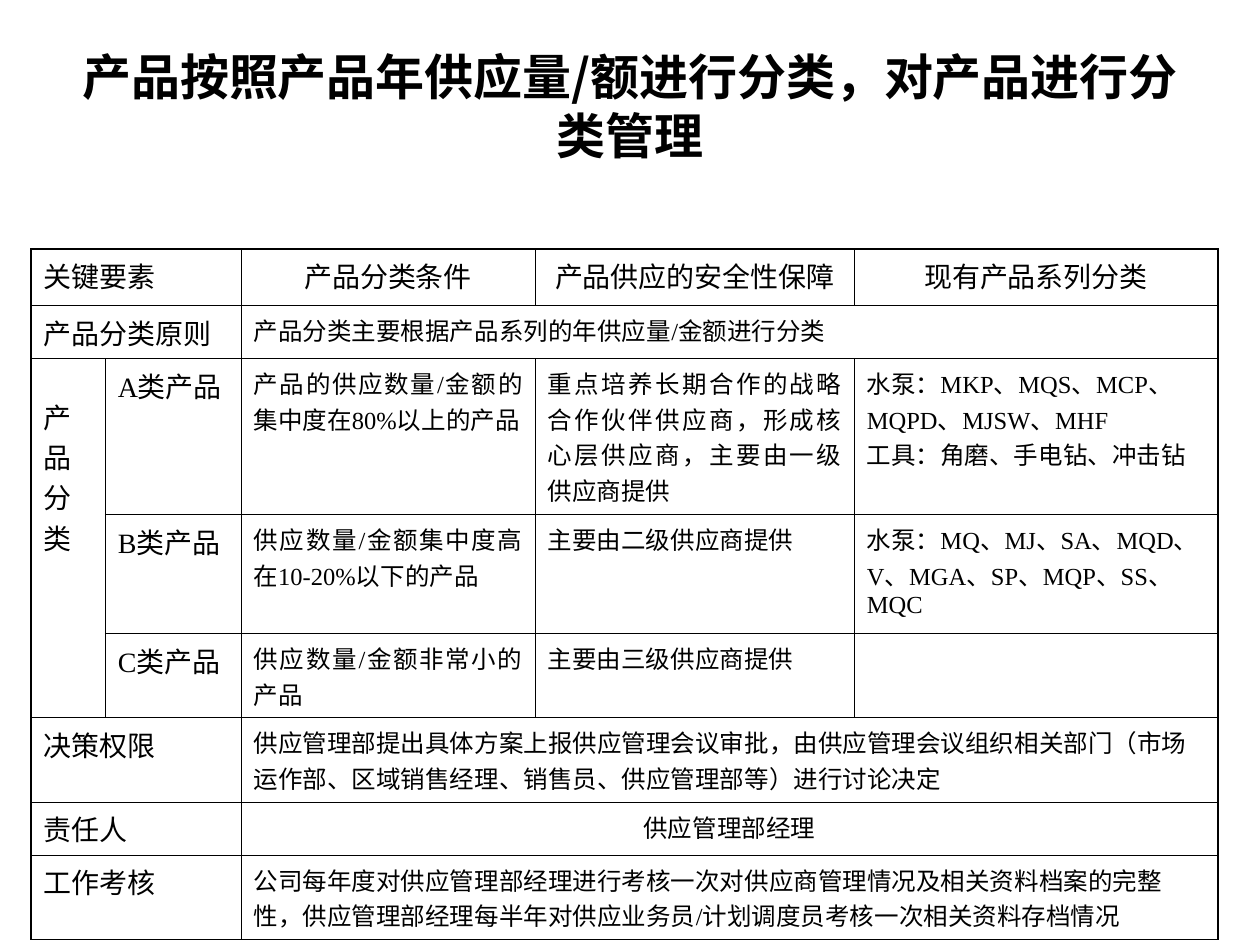
from dataclasses import dataclass

import pptx
import pptx.dml.color
import pptx.enum.text
import pptx.oxml
import pptx.oxml.ns
import pptx.util

Cm = pptx.util.Cm
Pt = pptx.util.Pt
Align = pptx.enum.text.PP_ALIGN
qn = pptx.oxml.ns.qn


@dataclass(frozen=True)
class Theme:
    ink: str = "000000"
    chinese_font: str = "Noto Sans CJK SC"
    latin_font: str = "Times New Roman"
    title_size: int = 28
    label_size: int = 16
    body_size: int = 14
    outer_line: float = 1.08
    inner_line: float = 0.45


THEME = Theme()
TITLE = "产品按照产品年供应量/额进行分类，对产品进行分类管理"
COLUMN_WIDTHS = [1.49, 2.74, 5.93, 6.43, 7.33]
ROW_HEIGHTS = [1.14, 1.07, 3.14, 2.4, 1.7, 1.7, 1.07, 1.7]
HEADERS = ["产品分类条件", "产品供应的安全性保障", "现有产品系列分类"]
WIDE_ROWS = {
    1: ("产品分类原则", "产品分类主要根据产品系列的年供应量/金额进行分类", Align.LEFT),
    5: (
        "决策权限",
        "供应管理部提出具体方案上报供应管理会议审批，由供应管理会议组织相关部门"
        "（市场运作部、区域销售经理、销售员、供应管理部等）进行讨论决定",
        Align.LEFT,
    ),
    6: ("责任人", "供应管理部经理", Align.CENTER),
    7: (
        "工作考核",
        "公司每年度对供应管理部经理进行考核一次对供应商管理情况及相关资料档案的完整性，"
        "供应管理部经理每半年对供应业务员/计划调度员考核一次相关资料存档情况",
        Align.LEFT,
    ),
}
CLASS_ROWS = [
    (
        "A类产品",
        "产品的供应数量/金额的集中度在80%以上的产品",
        "重点培养长期合作的战略合作伙伴供应商，形成核心层供应商，主要由一级供应商提供",
        "水泵：MKP、MQS、MCP、MQPD、MJSW、MHF\n工具：角磨、手电钻、冲击钻",
    ),
    (
        "B类产品",
        "供应数量/金额集中度高在10-20%以下的产品",
        "主要由二级供应商提供",
        "水泵：MQ、MJ、SA、MQD、V、MGA、SP、MQP、SS、MQC",
    ),
    ("C类产品", "供应数量/金额非常小的产品", "主要由三级供应商提供", ""),
]


def write_text(text_frame, text, size, alignment, latin_font=THEME.latin_font, bold=False):
    text_frame.text = text
    for paragraph in text_frame.paragraphs:
        paragraph.alignment = alignment
        paragraph._p.get_or_add_pPr().set("hangingPunct", "0")
        font = paragraph.font
        font.size = Pt(size)
        font.bold = bold
        font.color.rgb = pptx.dml.color.RGBColor.from_string(THEME.ink)
        font.name = latin_font
        east_asian = pptx.oxml.parse_xml(
            f'<a:ea {pptx.oxml.ns.nsdecls("a")} typeface="{THEME.chinese_font}"/>'
        )
        font._element.find(qn("a:latin")).addnext(east_asian)


def draw_borders(table):
    last_row, last_column = len(table.rows) - 1, len(table.columns) - 1
    for row in range(last_row + 1):
        for column in range(last_column + 1):
            cell = table.cell(row, column)
            right = column + (cell.span_width if cell.is_merge_origin else 1) - 1
            edges = {
                "lnL": column == 0,
                "lnR": right == last_column,
                "lnT": row == 0,
                "lnB": row == last_row,
            }
            properties = cell._tc.get_or_add_tcPr()
            for tag, is_outer in edges.items():
                width = Pt(THEME.outer_line if is_outer else THEME.inner_line)
                properties.append(pptx.oxml.parse_xml(
                    f'<a:{tag} {pptx.oxml.ns.nsdecls("a")} w="{width}"><a:solidFill>'
                    f'<a:srgbClr val="{THEME.ink}"/></a:solidFill></a:{tag}>'
                ))
            cell.fill.background()


def add_title(slide, left, top, width, height):
    text_frame = slide.shapes.add_textbox(left, top, width, height).text_frame
    text_frame.word_wrap = True
    text_frame.vertical_anchor = pptx.enum.text.MSO_ANCHOR.MIDDLE
    write_text(text_frame, TITLE, THEME.title_size, Align.CENTER, THEME.chinese_font, True)


def add_classification_table(slide, left, top, width, height):
    table = slide.shapes.add_table(
        len(ROW_HEIGHTS), len(COLUMN_WIDTHS), left, top, width, height
    ).table
    table.first_row = table.horz_banding = False
    for column, share in zip(table.columns, COLUMN_WIDTHS):
        column.width = int(width * share / sum(COLUMN_WIDTHS))
    for row, share in zip(table.rows, ROW_HEIGHTS):
        row.height = int(height * share / sum(ROW_HEIGHTS))

    def fill_cell(row, column, text, size, alignment=Align.LEFT):
        write_text(table.cell(row, column).text_frame, text, size, alignment)

    table.cell(0, 0).merge(table.cell(0, 1))
    fill_cell(0, 0, "关键要素", THEME.label_size)
    for column, header in enumerate(HEADERS, start=2):
        fill_cell(0, column, header, THEME.label_size, Align.CENTER)

    for row, (label, body, alignment) in WIDE_ROWS.items():
        table.cell(row, 0).merge(table.cell(row, 1))
        table.cell(row, 2).merge(table.cell(row, 4))
        fill_cell(row, 0, label, THEME.label_size)
        fill_cell(row, 2, body, THEME.body_size, alignment)

    table.cell(2, 0).merge(table.cell(4, 0))
    fill_cell(2, 0, "产品分类", THEME.label_size, Align.JUSTIFY)
    table.cell(2, 0).margin_top = Cm(0.75)
    for row, (label, condition, security, series) in enumerate(CLASS_ROWS, start=2):
        fill_cell(row, 1, label, THEME.label_size, Align.JUSTIFY)
        fill_cell(row, 2, condition, THEME.body_size, Align.JUSTIFY)
        fill_cell(row, 3, security, THEME.body_size, Align.JUSTIFY)
        fill_cell(row, 4, series, THEME.body_size)

    draw_borders(table)


def main():
    presentation = pptx.Presentation()
    presentation.slide_width, presentation.slide_height = Cm(25.4), Cm(19.05)
    slide = presentation.slides.add_slide(presentation.slide_layouts[6])
    add_title(slide, Cm(1.27), Cm(1.07), Cm(22.86), Cm(2.11))
    add_classification_table(slide, Cm(0.63), Cm(5.02), Cm(23.92), Cm(13.92))
    presentation.save("out.pptx")


if __name__ == "__main__":
    main()
